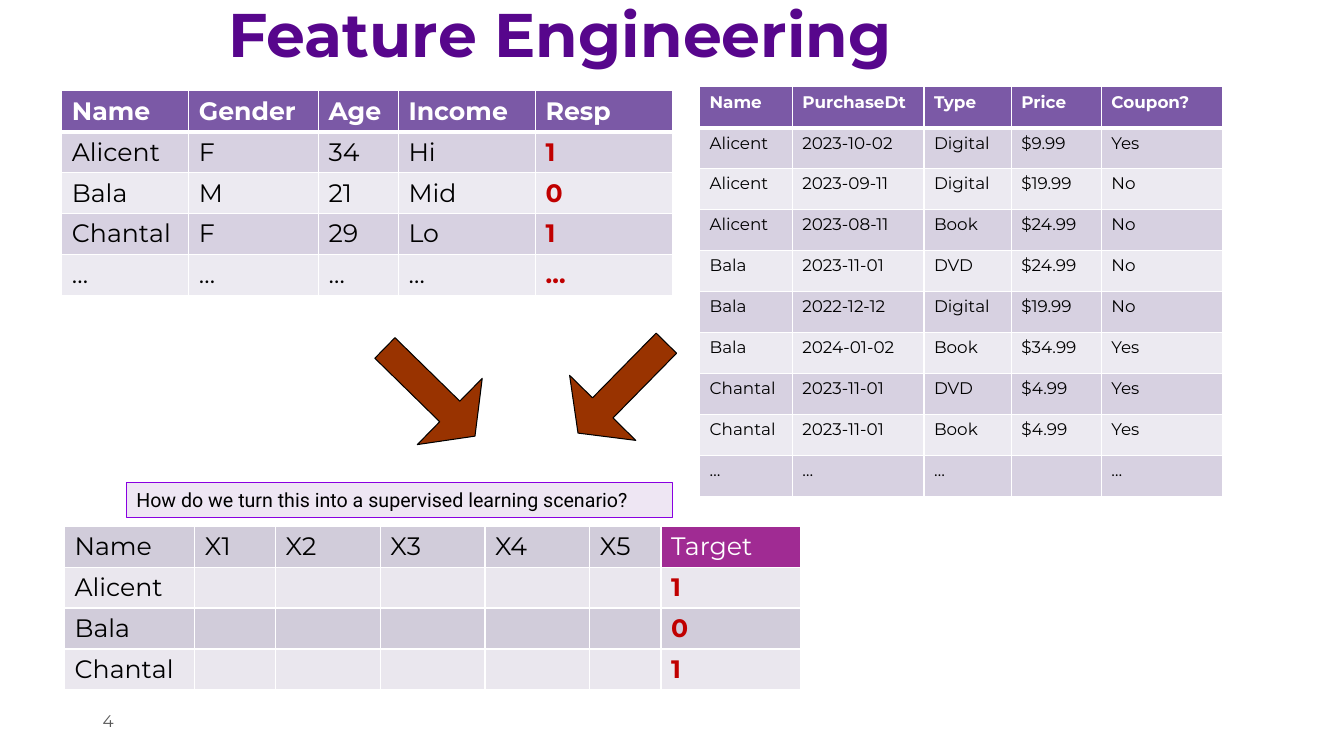
from lxml.etree import SubElement
from pptx import Presentation
from pptx.dml.color import RGBColor
from pptx.enum.shapes import MSO_SHAPE
from pptx.enum.text import MSO_ANCHOR, PP_ALIGN
from pptx.oxml.ns import qn
from pptx.util import Inches, Pt


def rgb(value):
    return RGBColor.from_string(value)


def write(tf, text, size=18, color="000000", bold=False, font="Montserrat", spacing=1.0):
    p = tf.paragraphs[0]
    p.alignment = PP_ALIGN.LEFT
    p.line_spacing = spacing
    r = p.add_run()
    r.text = text
    r.font.name = font
    r.font.size = Pt(size)
    r.font.bold = bold
    r.font.color.rgb = rgb(color)


prs = Presentation()
prs.slide_width = Inches(13.33)
prs.slide_height = Inches(7.5)
C = prs.slide_width / 100
R = prs.slide_height / 100
s = prs.slides.add_slide(prs.slide_layouts[6])

labels = [
    ("4", (6.9, 92.67, 11.1, 5.33), dict(size=12, color="595959")),
    ("Feature Engineering", (16.25, -0.4, 67.5, 10.67),
     dict(size=44, color="57068C", bold=True, spacing=0.9)),
]
for text, (x, y, w, h), style in labels:
    tf = s.shapes.add_textbox(int(x * C), int(y * R), int(w * C), int(h * R)).text_frame
    tf.word_wrap = True
    tf.vertical_anchor = MSO_ANCHOR.MIDDLE
    write(tf, text, **style)

people = [
    ["Name", "Gender", "Age", "Income", "Resp"],
    ["Alicent", "F", "34", "Hi", "1"],
    ["Bala", "M", "21", "Mid", "0"],
    ["Chantal", "F", "29", "Lo", "1"],
    ["…"] * 5,
]
features = [
    ["Name", "X1", "X2", "X3", "X4", "X5", "Target"],
    ["Alicent"] + [""] * 5 + ["1"],
    ["Bala"] + [""] * 5 + ["0"],
    ["Chantal"] + [""] * 5 + ["1"],
]
purchases = [
    ["Name", "PurchaseDt", "Type", "Price", "Coupon?"],
    ["Alicent", "2023-10-02", "Digital", "$9.99", "Yes"],
    ["Alicent", "2023-09-11", "Digital", "$19.99", "No"],
    ["Alicent", "2023-08-11", "Book", "$24.99", "No"],
    ["Bala", "2023-11-01", "DVD", "$24.99", "No"],
    ["Bala", "2022-12-12", "Digital", "$19.99", "No"],
    ["Bala", "2024-01-02", "Book", "$34.99", "Yes"],
    ["Chantal", "2023-11-01", "DVD", "$4.99", "Yes"],
    ["Chantal", "2023-11-01", "Book", "$4.99", "Yes"],
    ["…", "…", "…", "", "…"],
]
violet = ("7B59A6", "D7D1E1", "ECEAF1")
grey = ("D1CCDA", "EAE7EE", "D1CCDA")
tables = [
    (people, 4.6, 12, [9.45, 9.65, 5.95, 10.2, 10.2], violet, 18, True),
    (features, 4.8, 69.6, [9.7, 6, 7.8, 7.8, 7.8, 5.3, 10.4], grey, 18, True),
    (purchases, 52.05, 11.47, [6.9, 9.8, 6.5, 6.7, 9], violet, 12, False),
]
row_height = 5.42
for rows, x, y, widths, (head, odd, even), size, has_target in tables:
    table = s.shapes.add_table(len(rows), len(widths), int(x * C), int(y * R),
                               int(sum(widths) * C), int(len(rows) * row_height * R)).table
    for column, width in zip(table.columns, widths):
        column.width = int(width * C)
    for i, values in enumerate(rows):
        table.rows[i].height = int(row_height * R)
        for j, text in enumerate(values):
            cell = table.cell(i, j)
            is_head = i == 0
            is_target = has_target and j == len(values) - 1
            strong_head = is_head and head == violet[0]
            fill = head if is_head else odd if i % 2 else even
            color = "FFFFFF" if strong_head else "000000"
            if is_target and not is_head:
                color = "C00000"
            elif is_target and not strong_head:
                fill, color = "A02B93", "FFFFFF"
            tcPr = cell._tc.get_or_add_tcPr()
            for side in ("lnL", "lnR", "lnT", "lnB"):
                if side == "lnT" and not is_head:
                    continue
                width = Pt(3 if strong_head and side == "lnB" else 1)
                ln = SubElement(tcPr, qn("a:" + side), w=str(width))
                SubElement(SubElement(ln, qn("a:solidFill")), qn("a:srgbClr"), val="FFFFFF")
            cell.fill.solid()
            cell.fill.fore_color.rgb = rgb(fill)
            if text:
                write(cell.text_frame, text, size=size, color=color,
                      bold=strong_head or (is_target and not is_head))

arrow, box = MSO_SHAPE.RIGHT_ARROW, MSO_SHAPE.RECTANGLE
shapes = [
    (arrow, 27.3, 45.73, 9.38, 12.27, 44.4, "993300", "000000"),
    (arrow, 41.6, 45.2, 9.38, 12.27, 134.5, "993300", "000000"),
    (box, 9.4, 63.87, 40.65, 4.53, 0, "EEE6F3", "8900E1"),
]
for kind, x, y, w, h, angle, fill, line in shapes:
    sp = s.shapes.add_shape(kind, int(x * C), int(y * R), int(w * C), int(h * R))
    sp.shadow.inherit = False
    sp.rotation = angle
    sp.fill.solid()
    sp.fill.fore_color.rgb = rgb(fill)
    sp.line.color.rgb = rgb(line)
    sp.line.width = Pt(0.75)
    if kind == arrow:
        sp.adjustments[0], sp.adjustments[1] = 0.31, 0.38
    else:
        sp.text_frame.word_wrap = True
        write(sp.text_frame, "How do we turn this into a supervised learning scenario?",
              size=14, font="Roboto")

prs.save("out.pptx")
